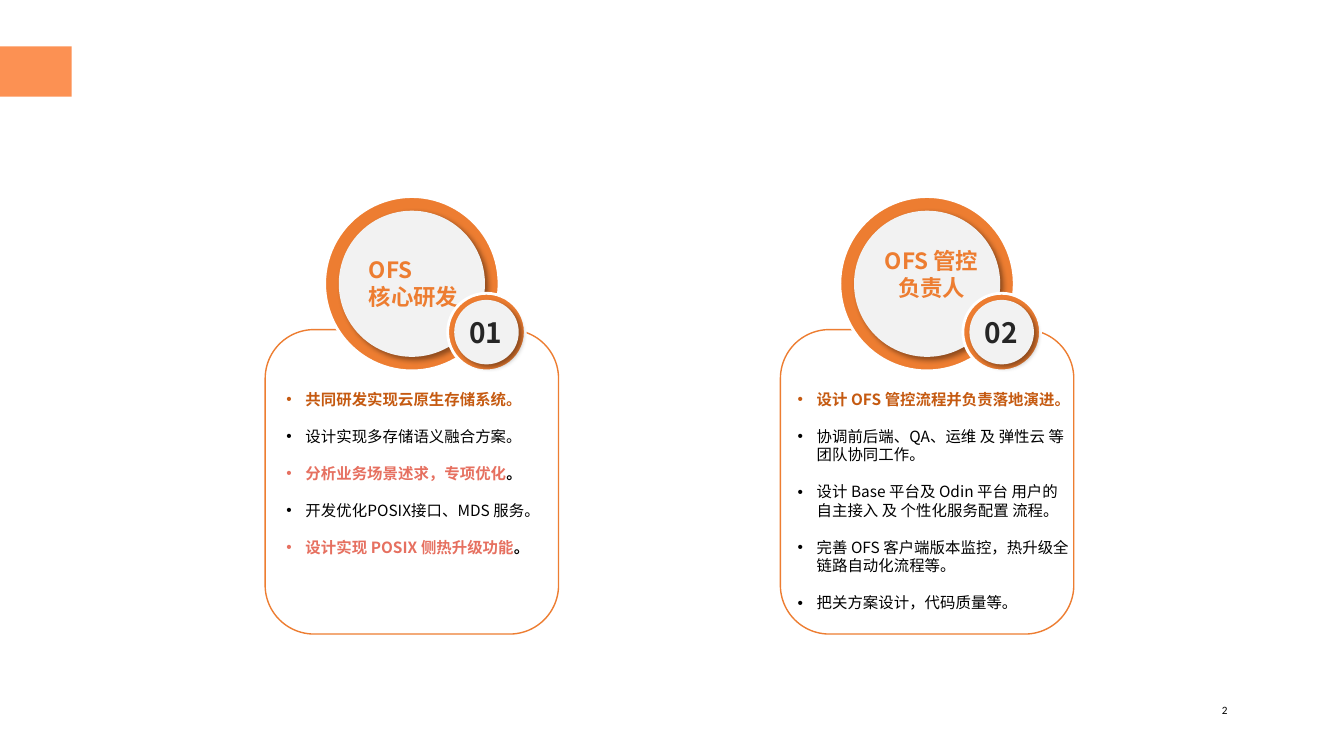
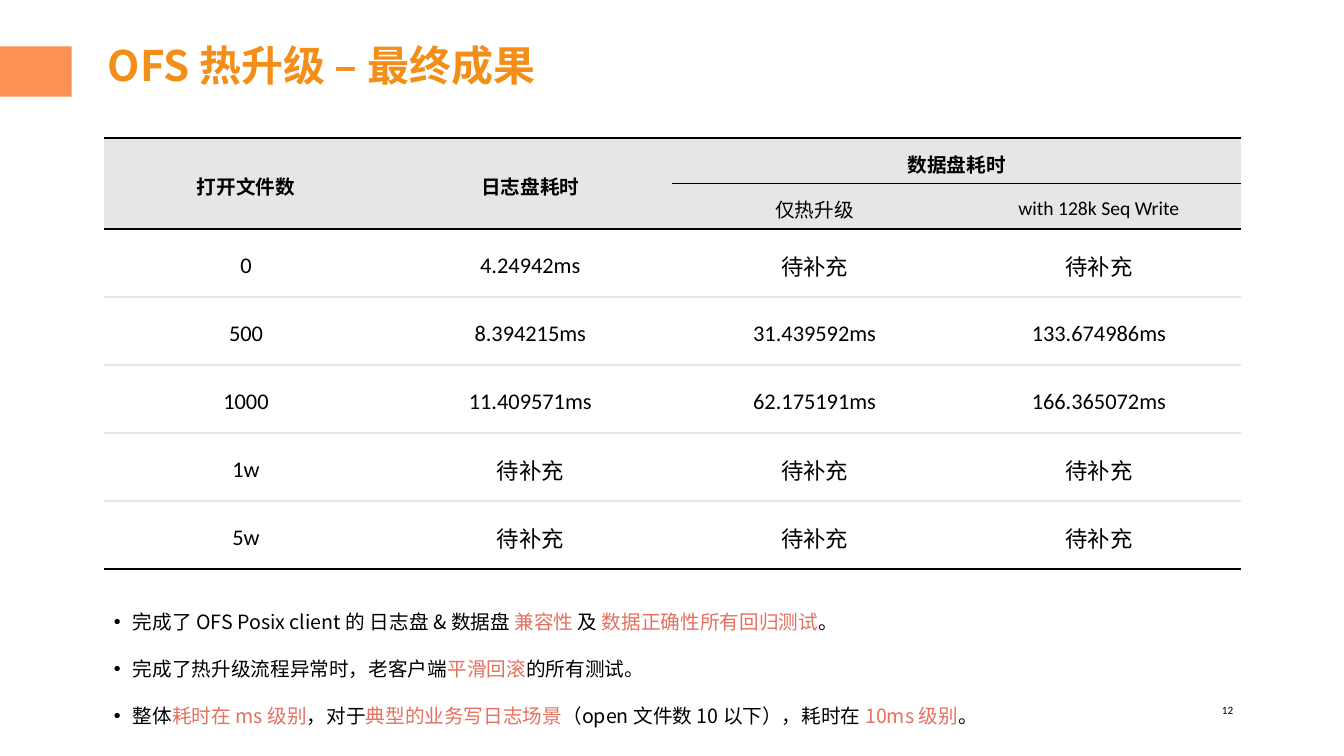
from dataclasses import dataclass

from lxml.etree import SubElement
from pptx import Presentation
from pptx.dml.color import RGBColor
from pptx.enum.shapes import MSO_SHAPE as Shape
from pptx.enum.text import MSO_ANCHOR as Anchor, MSO_AUTO_SIZE as AutoSize, PP_ALIGN as Align
from pptx.oxml.ns import qn
from pptx.util import Inches, Pt

HAN_FONT = "Noto Sans CJK SC"
LATIN_FONT = "Calibri"
ORANGE, BAND, TITLE, RUST = "ED7D31", "FC9153", "F38F18", "C55A11"
CORAL, BLACK, INK = "E67060", "000000", "262626"
WHITE, PALE, GRAY = "FFFFFF", "F2F2F2", "E7E6E6"
PENDING = "待补充"


@dataclass(frozen=True)
class Span:
    text: str
    color: str = BLACK
    bold: bool = False


@dataclass(frozen=True)
class Box:
    left: float
    top: float
    width: float
    height: float

    def lengths(self) -> tuple:
        return tuple(Inches(v) for v in (self.left, self.top, self.width, self.height))


@dataclass(frozen=True)
class Card:
    left: float
    number: str
    label: tuple[str, ...]
    label_top: float
    label_align: Align
    label_inset: float
    text_offset: float
    text_width: float
    bullets: tuple[tuple[Span, ...], ...]


CARDS = (
    Card(2.63, "01", ("OFS", "核心研发"), 2.49, Align.LEFT, 0.2, 0.14, 2.6, (
        (Span("共同研发实现云原生存储系统。", RUST, True),),
        (Span("设计实现多存储语义融合方案。"),),
        (Span("分析业务场景述求，专项优化", CORAL, True), Span("。", bold=True)),
        (Span("开发优化POSIX接口、MDS 服务。"),),
        (Span("设计实现 POSIX 侧热升级功能", CORAL, True), Span("。", bold=True)),
    )),
    Card(7.74, "02", ("OFS 管控", "负责人"), 2.4, Align.CENTER, 0.1, 0.1, 2.86, (
        (Span("设计 OFS 管控流程并负责落地演进。", RUST, True),),
        (Span("协调前后端、QA、运维 及 弹性云 等团队协同工作。"),),
        (Span("设计 Base 平台及 Odin 平台 用户的自主接入 及 个性化服务配置 流程。"),),
        (Span("完善 OFS 客户端版本监控，热升级全链路自动化流程等。"),),
        (Span("把关方案设计，代码质量等。"),),
    )),
)

HEADER_ROWS = (
    ("打开文件数", "日志盘耗时", "数据盘耗时", ""),
    ("", "", "仅热升级", "with 128k Seq Write"),
)
BODY_ROWS = (
    ("0", "4.24942ms", PENDING, PENDING),
    ("500", "8.394215ms", "31.439592ms", "133.674986ms"),
    ("1000", "11.409571ms", "62.175191ms", "166.365072ms"),
    ("1w", PENDING, PENDING, PENDING),
    ("5w", PENDING, PENDING, PENDING),
)
RESULTS = (
    (Span("完成了 OFS Posix client 的 日志盘 & 数据盘 "), Span("兼容性", CORAL),
     Span(" 及 "), Span("数据正确性所有回归测试", CORAL), Span("。")),
    (Span("完成了热升级流程异常时，老客户端"), Span("平滑回滚", CORAL), Span("的所有测试。")),
    (Span("整体"), Span("耗时在 ms 级别", CORAL), Span("，对于"),
     Span("典型的业务写日志场景", CORAL), Span("（open 文件数 10 以下），耗时在 "),
     Span("10ms 级别", CORAL), Span("。")),
)


def rgb(color: str) -> RGBColor:
    return RGBColor.from_string(color)


def style(paragraph, size: float, color: str = BLACK, bold: bool = False,
          name: str = HAN_FONT) -> None:
    font = paragraph.font
    font.name, font.size, font.bold = name, Pt(size), bold
    font.color.rgb = rgb(color)
    defaults = paragraph._p.pPr.find(qn("a:defRPr"))
    SubElement(defaults, qn("a:ea"), typeface=HAN_FONT)


def add_text(slide, box: Box, lines: tuple[str, ...], size: float, color: str = BLACK,
             bold: bool = False, name: str = HAN_FONT, align: Align = Align.CENTER,
             line_points: float | None = None):
    frame = slide.shapes.add_textbox(*box.lengths()).text_frame
    frame.word_wrap = True
    frame.text = "\n".join(lines)
    for paragraph in frame.paragraphs:
        paragraph.alignment = align
        if line_points:
            paragraph.line_spacing = Pt(line_points)
        style(paragraph, size, color, bold, name)
    return frame


def add_bullets(slide, box: Box, items: tuple[tuple[Span, ...], ...], size: float,
                line_points: float, gap_points: float, inset: tuple[float, float]) -> None:
    frame = slide.shapes.add_textbox(*box.lengths()).text_frame
    frame.word_wrap = True
    frame.margin_left = frame.margin_right = Inches(inset[0])
    frame.margin_top = frame.margin_bottom = Inches(inset[1])
    for index, spans in enumerate(items):
        paragraph = frame.add_paragraph() if index else frame.paragraphs[0]
        properties = paragraph._p.get_or_add_pPr()
        properties.set("marL", str(Inches(0.19)))
        properties.set("indent", str(-Inches(0.19)))
        SubElement(properties, qn("a:buFont"), typeface="Arial")
        SubElement(properties, qn("a:buChar"), char="•")
        paragraph.line_spacing = Pt(line_points)
        paragraph.space_before = Pt(gap_points if index else 0)
        style(paragraph, size)
        for span in spans:
            run = paragraph.add_run()
            run.text = span.text
            run.font.bold = span.bold
            run.font.color.rgb = rgb(span.color)


def add_shape(slide, kind: Shape, box: Box, fill: str | None = None,
              line: str | None = None, line_points: float = 1):
    shape = slide.shapes.add_shape(kind, *box.lengths())
    shape.shadow.inherit = False
    if fill:
        shape.fill.solid()
        shape.fill.fore_color.rgb = rgb(fill)
    else:
        shape.fill.background()
    if line:
        shape.line.color.rgb = rgb(line)
        shape.line.width = Pt(line_points)
    else:
        shape.line.fill.background()
    return shape


def add_disc(slide, box: Box, rim: float) -> None:
    add_shape(slide, Shape.OVAL, box, ORANGE, WHITE, 2)
    inner = Box(box.left + rim, box.top + rim, box.width - 2 * rim, box.height - 2 * rim)
    face = add_shape(slide, Shape.OVAL, inner, PALE)
    effects = face._element.spPr.find(qn("a:effectLst"))
    shadow = SubElement(effects, qn("a:outerShdw"), blurRad=str(Pt(4)), dist=str(Pt(3)),
                        dir="2700000", algn="tl", rotWithShape="0")
    tint = SubElement(shadow, qn("a:srgbClr"), val=BLACK)
    SubElement(tint, qn("a:alpha"), val="40000")


def add_card(slide, card: Card) -> None:
    left = card.left
    add_shape(slide, Shape.ROUNDED_RECTANGLE, Box(left, 3.27, 2.91, 3.02), line=ORANGE)
    add_disc(slide, Box(left + 0.59, 1.95, 1.73, 1.73), 0.14)
    label = add_text(slide, Box(left + 0.83, card.label_top, 1.34, 0.64), card.label, 16,
                     ORANGE, True, align=card.label_align, line_points=19.2)
    label.margin_left = Inches(card.label_inset)
    add_disc(slide, Box(left + 1.81, 2.91, 0.77, 0.77), 0.065)
    number = add_text(slide, Box(left + 1.8, 3.08, 0.78, 0.44), (card.number,), 20, INK, True)
    number.vertical_anchor = Anchor.MIDDLE
    add_bullets(slide, Box(left + card.text_offset, 3.83, card.text_width, 2.4),
                card.bullets, 11, 13.2, 13.2, (0.07, 0.04))


def set_borders(cell, top: str, bottom: str) -> None:
    properties = cell._tc.get_or_add_tcPr()
    for side, color in (("L", None), ("R", None), ("T", top), ("B", bottom)):
        line = SubElement(properties, qn(f"a:ln{side}"), w=str(Pt(1.5)))
        if color:
            fill = SubElement(line, qn("a:solidFill"))
            SubElement(fill, qn("a:srgbClr"), val=color)
        else:
            SubElement(line, qn("a:noFill"))


def add_timing_table(slide) -> None:
    rows = HEADER_ROWS + BODY_ROWS
    header_count, last = len(HEADER_ROWS), len(rows) - 1
    box = Box(1.03, 1.37, 11.28, 4.28)
    table = slide.shapes.add_table(len(rows), len(rows[0]), *box.lengths()).table
    table.first_row = table.horz_banding = False
    for column in table.columns:
        column.width = Inches(box.width / len(rows[0]))
    for index, values in enumerate(rows):
        header = index < header_count
        table.rows[index].height = Inches(0.45 if header else 0.675)
        top = BLACK if index <= header_count else GRAY
        bottom = BLACK if header or index == last else GRAY
        for column_index, value in enumerate(values):
            cell = table.cell(index, column_index)
            set_borders(cell, top, bottom)
            if header:
                cell.fill.solid()
                cell.fill.fore_color.rgb = rgb(GRAY)
            else:
                cell.fill.background()
            cell.vertical_anchor = Anchor.MIDDLE
            cell.text = value
            paragraph = cell.text_frame.paragraphs[0]
            paragraph.alignment = Align.CENTER
            paragraph.line_spacing = 1.2
            style(paragraph, 14 if header else 16, bold=index == 0, name=LATIN_FONT)
    for column_index in (0, 1):
        table.cell(0, column_index).merge(table.cell(1, column_index))
    table.cell(0, 2).merge(table.cell(0, 3))


def set_title(slide, text: str) -> None:
    title = slide.shapes.title
    title.left, title.top, title.width, title.height = Box(1.05, 0.23, 8.74, 0.83).lengths()
    frame = title.text_frame
    frame.text = text
    frame.auto_size = AutoSize.NONE
    frame.vertical_anchor = Anchor.MIDDLE
    frame.margin_left = frame.margin_right = Inches(0.02)
    frame.margin_top = frame.margin_bottom = Inches(0.02)
    paragraph = frame.paragraphs[0]
    paragraph.alignment = Align.LEFT
    style(paragraph, 30, TITLE, True)


def new_slide(presentation, number: int, title: str | None = None):
    slide = presentation.slides.add_slide(presentation.slide_layouts[5 if title else 6])
    add_shape(slide, Shape.RECTANGLE, Box(0, 0.46, 0.71, 0.5), BAND)
    page = add_text(slide, Box(12.12, 6.98, 0.14, 0.13), (str(number),), 8,
                    name=LATIN_FONT, align=Align.LEFT)
    page.word_wrap = False
    page.vertical_anchor = Anchor.MIDDLE
    page.margin_left = page.margin_right = page.margin_top = page.margin_bottom = 0
    if title:
        set_title(slide, title)
    return slide


def main() -> None:
    presentation = Presentation()
    presentation.slide_width, presentation.slide_height = Inches(13.33), Inches(7.5)

    roles = new_slide(presentation, 2)
    for card in CARDS:
        add_card(roles, card)

    outcome = new_slide(presentation, 12, "OFS 热升级 – 最终成果")
    add_timing_table(outcome)
    add_bullets(outcome, Box(1.03, 5.77, 11.28, 1.44), RESULTS, 14, 33.6, 0, (0.1, 0.05))

    presentation.save("out.pptx")


if __name__ == "__main__":
    main()
